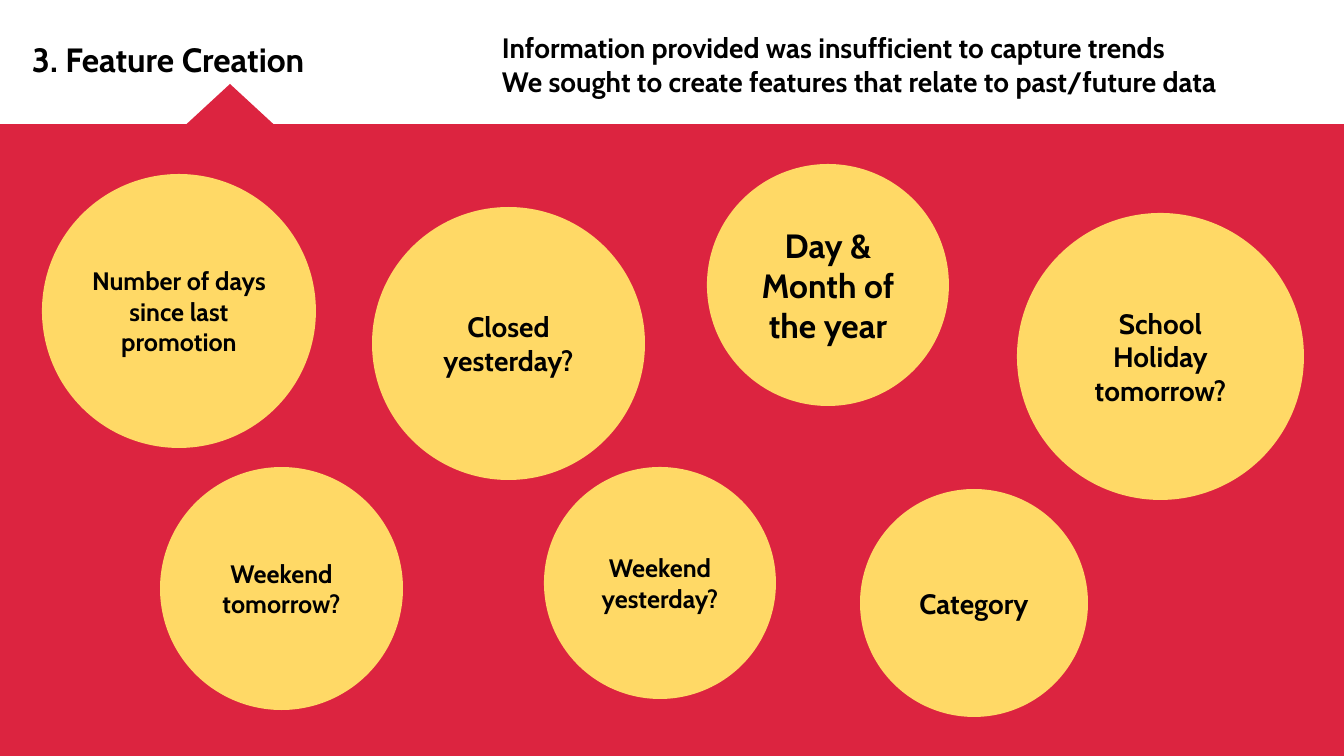
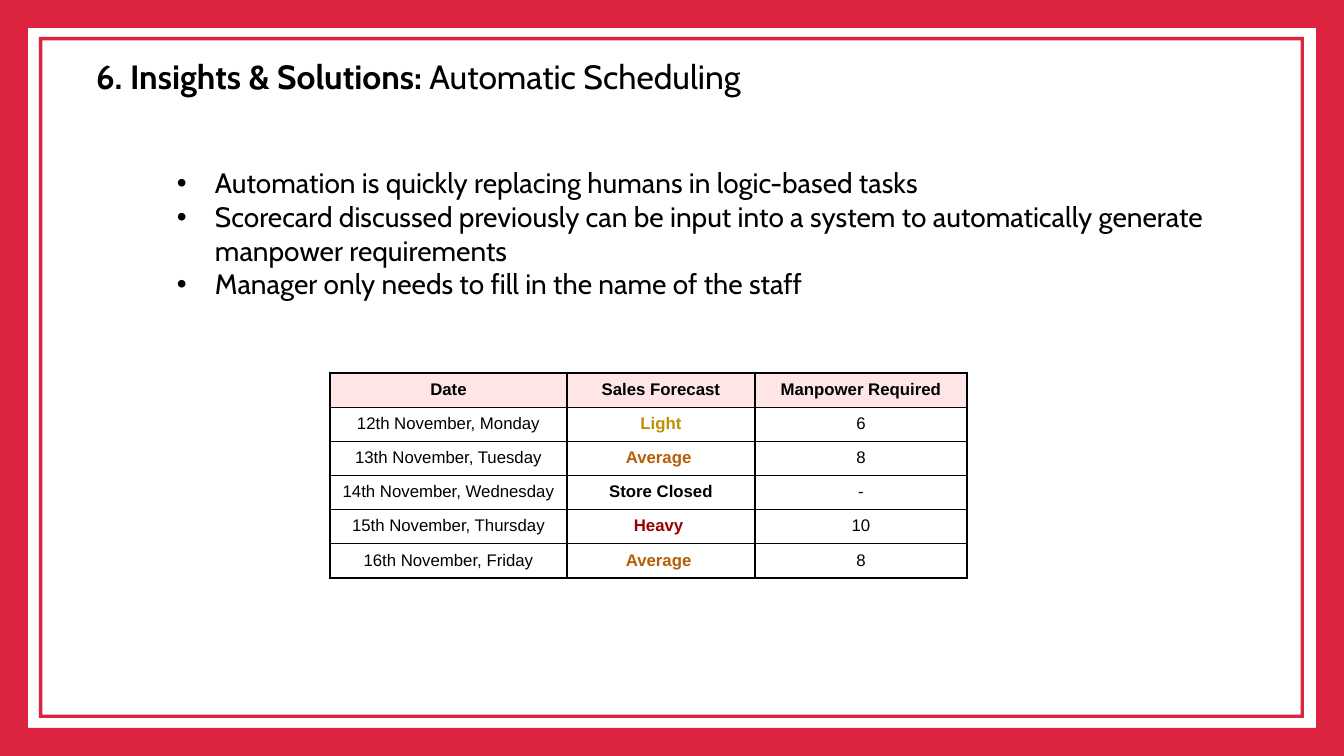
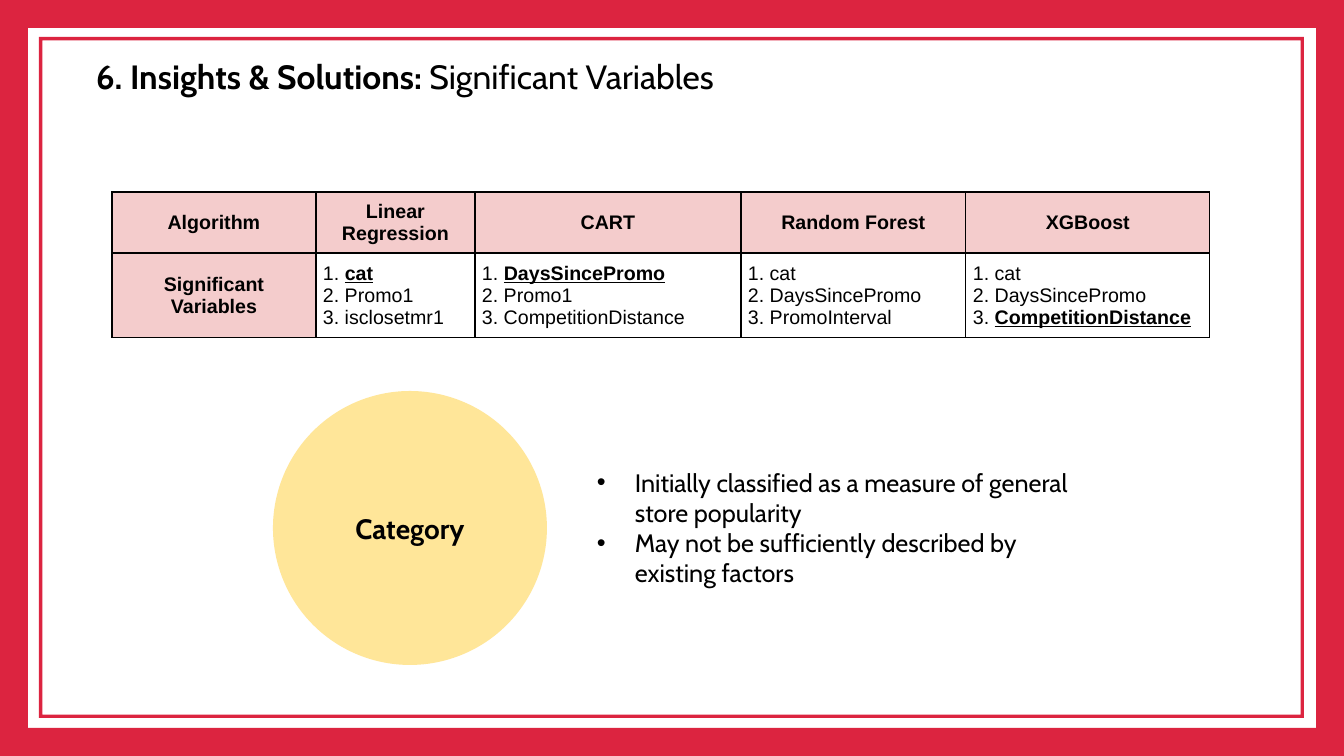
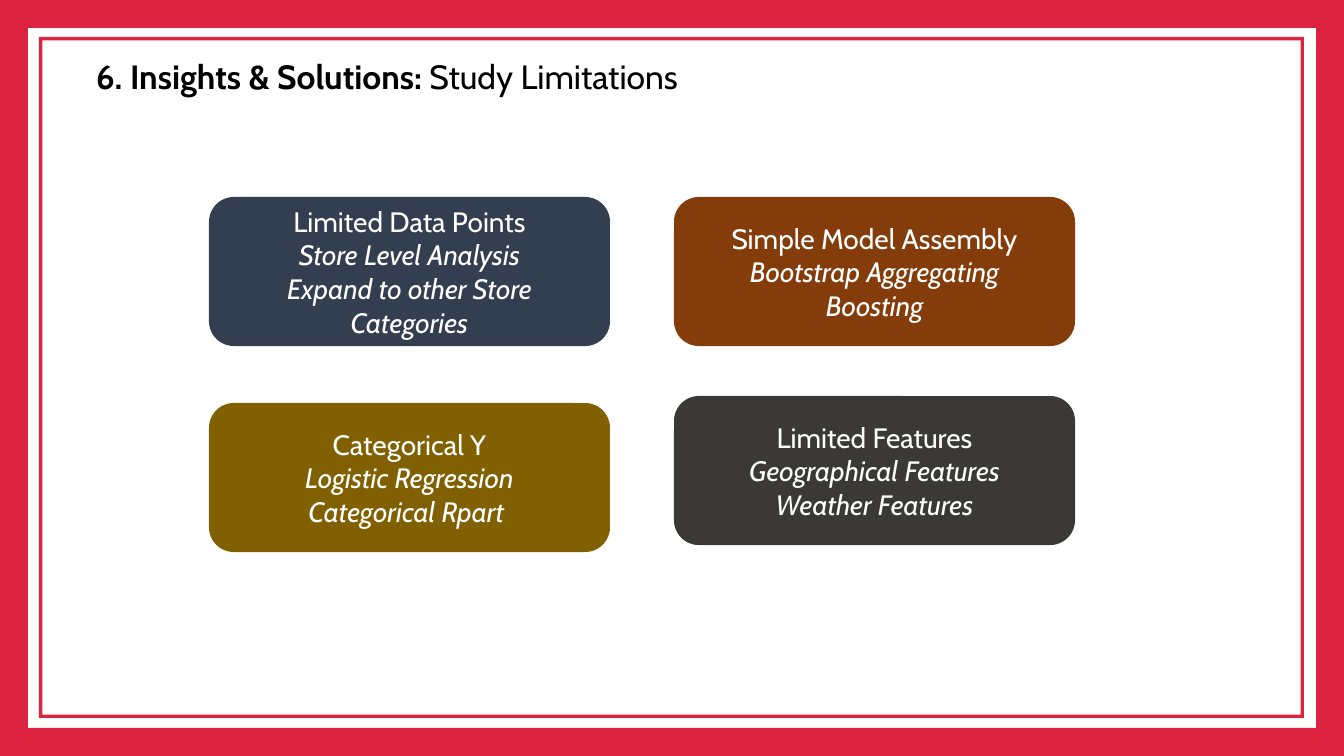
from lxml.etree import SubElement
from pptx import Presentation
from pptx.dml.color import RGBColor
from pptx.enum.shapes import MSO_SHAPE as Shape
from pptx.enum.text import MSO_ANCHOR as Anchor, PP_ALIGN as Align
from pptx.oxml.ns import qn
from pptx.util import Pt

PX = 12192000 / 1344
RED, YELLOW, PALE_YELLOW, BLACK, WHITE = "DC2440", "FFD966", "FFE699", "000000", "FFFFFF"
hex_color = RGBColor.from_string


def write(frame, paragraphs, size, color=BLACK, font="Cabin", align=Align.LEFT, bullet=False):
    frame.word_wrap = True
    for number, runs in enumerate(paragraphs):
        para = frame.add_paragraph() if number else frame.paragraphs[0]
        para.alignment = align
        if bullet:
            properties = para._p.get_or_add_pPr()
            properties.set("marL", str(round(38 * PX)))
            properties.set("indent", str(round(-38 * PX)))
            SubElement(properties, qn("a:buFont"), typeface="Arial")
            SubElement(properties, qn("a:buChar"), char="•")
        for text, marks in runs:
            span = para.add_run()
            span.text = text
            span.font.name = font
            span.font.size = Pt(size)
            span.font.color.rgb = hex_color(color)
            span.font.bold = "b" in marks
            span.font.italic = "i" in marks
            span.font.underline = "u" in marks


def add_block(slide, kind, place, fill=None):
    left, top, width, height = [round(length * PX) for length in place]
    if kind is None:
        return slide.shapes.add_textbox(left, top, width, height)
    block = slide.shapes.add_shape(kind, left, top, width, height)
    block.shadow.inherit = False
    block.fill.solid()
    block.fill.fore_color.rgb = hex_color(fill)
    block.line.fill.background()
    block.text_frame.vertical_anchor = Anchor.MIDDLE
    return block


deck = Presentation()
deck.slide_width, deck.slide_height = round(1344 * PX), round(756 * PX)
blank = deck.slide_layouts[6]

features = deck.slides.add_slide(blank)
add_block(features, Shape.RECTANGLE, (0, 124, 1344, 632), RED)
heading = add_block(features, None, (22, 34, 460, 50))
write(heading.text_frame, [[("3. Feature Creation", "b")]], 24)
add_block(features, Shape.ISOSCELES_TRIANGLE, (165, 84, 130, 60), RED)
reason = add_block(features, None, (492, 26, 840, 78))
write(reason.text_frame, [
    [("Information provided was insufficient to capture trends", "b")],
    [("We sought to create features that relate to past/future data", "b")],
], 20)

circles = [
    (42, 174, 274, 18, "Number of days since last promotion"),
    (160, 467, 243, 18, "Weekend tomorrow?"),
    (372, 207, 273, 20, "Closed yesterday?"),
    (707, 164, 242, 24, "Day & Month of the year"),
    (860, 489, 228, 20, "Category"),
    (1017, 213, 287, 20, "School Holiday tomorrow?"),
    (544, 467, 232, 18, "Weekend yesterday?"),
]
for left, top, diameter, size, label in circles:
    circle = add_block(features, Shape.OVAL, (left, top, diameter, diameter), YELLOW)
    write(circle.text_frame, [[(label, "b")]], size, align=Align.CENTER)

framed = []
for subtitle in ["Automatic Scheduling", "Significant Variables", "Study Limitations"]:
    slide = deck.slides.add_slide(blank)
    for place, thickness in [((0, 0, 1344, 756), 0.037), ((39, 37, 1265, 681), 0.005)]:
        border = add_block(slide, Shape.FRAME, place, RED)
        border.adjustments[0] = thickness
    title = add_block(slide, None, (86, 51, 1218, 50))
    write(title.text_frame, [[("6. Insights & Solutions: ", "b"), (subtitle, "")]], 24)
    framed.append(slide)
scheduling, variables, limitations = framed

forecast_colors = {"Light": "BF9000", "Average ": "B45F06", "Heavy ": "990000"}
schedule_rows = [
    ["Date", "Sales Forecast", "Manpower Required"],
    ["12th November, Monday", "Light", "6"],
    ["13th November, Tuesday", "Average ", "8"],
    ["14th November, Wednesday", "Store Closed", "-"],
    ["15th November, Thursday", "Heavy ", "10"],
    ["16th November, Friday", "Average ", "8"],
]
schedule_cells = [
    [[[(text, "b" if row == 0 or column == 1 else "")]] for column, text in enumerate(texts)]
    for row, texts in enumerate(schedule_rows)
]
algorithms = ["Algorithm", "Linear Regression", "CART", "Random Forest", "XGBoost"]
rankings = [
    ["cat", "Promo1", "isclosetmr1"],
    ["DaysSincePromo", "Promo1", "CompetitionDistance"],
    ["cat", "DaysSincePromo", "PromoInterval"],
    ["cat", "DaysSincePromo", "CompetitionDistance"],
]
standouts = [1, 1, None, 3]
variable_cells = [
    [[[(name, "b")]] for name in algorithms],
    [[[("Significant Variables", "b")]]] + [
        [[(f"{rank}. ", ""), (name, "bu" if rank == standout else "")]
         for rank, name in enumerate(names, 1)]
        for names, standout in zip(rankings, standouts)
    ],
]
tables = [
    (scheduling, 330, 373, [237, 188, 212], [34] * 6, schedule_cells, 12, "FFE5E6", Anchor.TOP, False),
    (variables, 112, 192, [204, 159, 266, 225, 244], [61, 84], variable_cells, 14, "F4CCCC", Anchor.MIDDLE, True),
]
for slide, left, top, widths, heights, cells, size, header_fill, anchor, side_header in tables:
    place = [round(length * PX) for length in (left, top, sum(widths), sum(heights))]
    table = slide.shapes.add_table(len(heights), len(widths), *place).table
    table.first_row = table.horz_banding = False
    for column, width in zip(table.columns, widths):
        column.width = round(width * PX)
    for row, height in zip(table.rows, heights):
        row.height = round(height * PX)
    for row, contents in enumerate(cells):
        for column, paragraphs in enumerate(contents):
            cell = table.cell(row, column)
            cell.margin_left = cell.margin_right = cell.margin_top = cell.margin_bottom = round(7 * PX)
            cell.vertical_anchor = anchor
            for side in ["lnL", "lnR", "lnT", "lnB"]:
                edge = SubElement(cell._tc.get_or_add_tcPr(), qn("a:" + side), w=str(Pt(1)))
                SubElement(SubElement(edge, qn("a:solidFill")), qn("a:srgbClr"), val=BLACK)
            if row == 0 or (side_header and column == 0):
                cell.fill.solid()
                cell.fill.fore_color.rgb = hex_color(header_fill)
            else:
                cell.fill.background()
            color = forecast_colors.get(paragraphs[0][0][0], BLACK)
            align = Align.CENTER if len(paragraphs) == 1 else Align.LEFT
            write(cell.text_frame, paragraphs, size, color, "Arial", align)

category = add_block(variables, Shape.OVAL, (273, 391, 274, 274), PALE_YELLOW)
write(category.text_frame, [[("Category", "b")]], 20, align=Align.CENTER)

bullet_lists = [
    (scheduling, (167, 161, 1054, 146), 20, [
        "Automation is quickly replacing humans in logic-based tasks",
        "Scorecard discussed previously can be input into a system to automatically generate manpower requirements",
        "Manager only needs to fill in the name of the staff",
    ]),
    (variables, (587, 462, 508, 132), 18, [
        "Initially classified as a measure of general store popularity",
        "May not be sufficiently described by existing factors",
    ]),
]
for slide, place, size, points in bullet_lists:
    box = add_block(slide, None, place)
    write(box.text_frame, [[(point, "")] for point in points], size, bullet=True)

cards = [
    (209, 197, "333F50", "Limited Data Points", ["Store Level Analysis", "Expand to other Store Categories"]),
    (674, 197, "843C0B", "Simple Model Assembly", ["Bootstrap Aggregating", "Boosting"]),
    (209, 403, "806000", "Categorical Y", ["Logistic Regression", "Categorical Rpart "]),
    (674, 396, "3B3838", "Limited Features", ["Geographical Features", "Weather Features"]),
]
for left, top, fill, name, remedies in cards:
    card = add_block(limitations, Shape.ROUNDED_RECTANGLE, (left, top, 401, 149), fill)
    lines = [[(name, "")]] + [[(remedy, "i")] for remedy in remedies]
    write(card.text_frame, lines, 20, WHITE, align=Align.CENTER)

deck.save("out.pptx")
